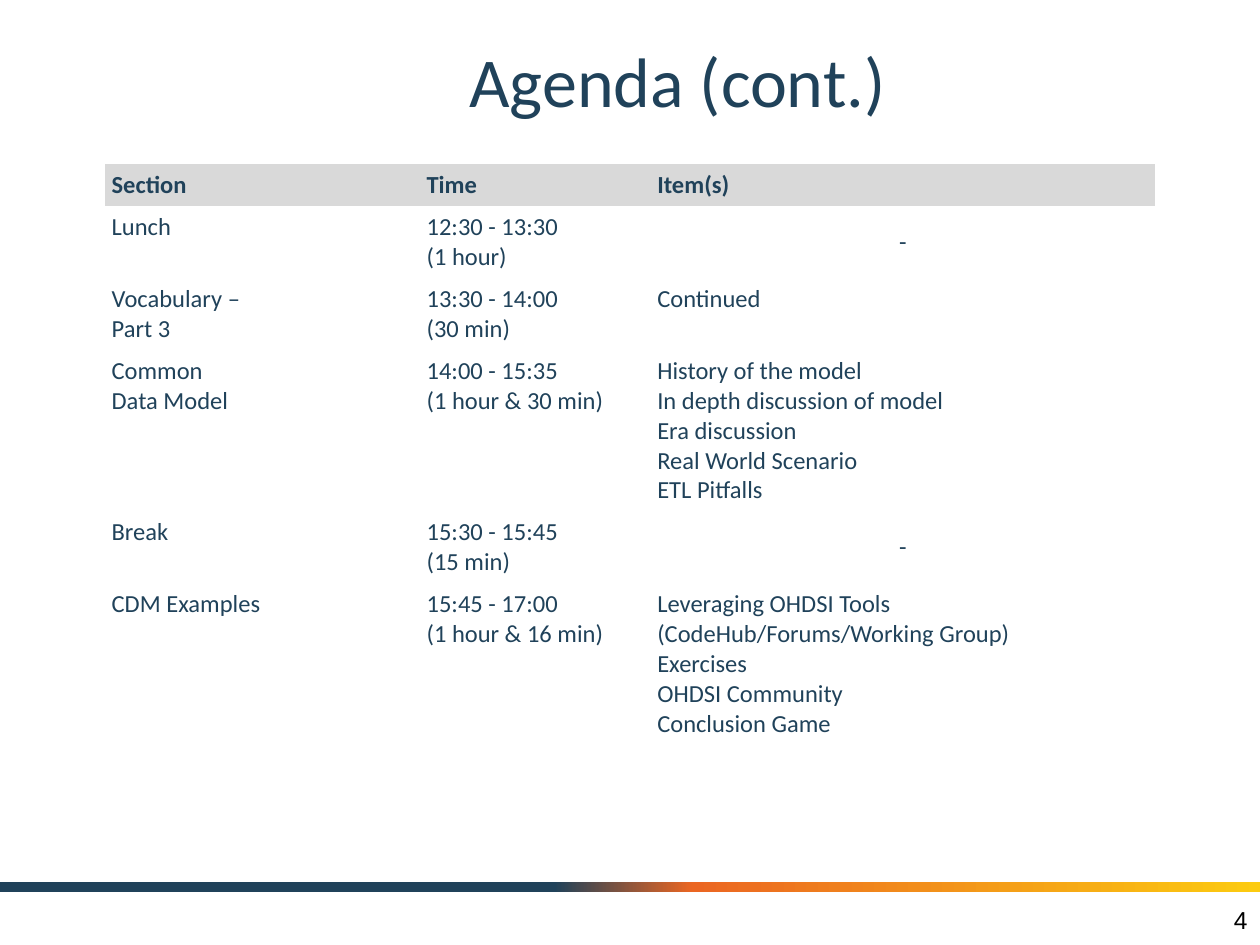
from lxml.etree import SubElement as Sub
from pptx import Presentation
from pptx.dml.color import RGBColor
from pptx.enum.shapes import MSO_SHAPE as Kind
from pptx.enum.text import MSO_ANCHOR as Anchor, PP_ALIGN as Align
from pptx.oxml.ns import qn
from pptx.util import Cm, Pt

NAVY = "20425A"
PLAIN = "{2D5ABB26-0587-4C30-8999-92F81FD0307C}"  # no style, no grid
HEAD = ["Section", "Time", "Item(s)"]
# A \v breaks a line, a \n starts a paragraph
ROWS = [
    ["Lunch", "12:30 - 13:30\v(1 hour)", "-"],
    ["Vocabulary –\vPart 3", "13:30 - 14:00\v(30 min)", "Continued"],
    ["Common\vData Model", "14:00 - 15:35\v(1 hour & 30 min)",
     "History of the model\nIn depth discussion of model\nEra discussion\n"
     "Real World Scenario\nETL Pitfalls"],
    ["Break", "15:30 - 15:45\v(15 min)", "-"],
    ["CDM Examples", "15:45 - 17:00\v(1 hour & 16 min)",
     "Leveraging OHDSI Tools (CodeHub/Forums/Working Group)\nExercises\n"
     "OHDSI Community\nConclusion Game"],
]
LINES = [1, 2, 2, 5, 2, 5]  # text lines in each row
STOPS = [(0, NAVY), (44, NAVY), (55, "EB6622"), (100, "FCCB10")]


def color(code):
    return RGBColor.from_string(code)


class Deck:
    font = {"name": "Calibri", "size": Pt(14), "bold": False}

    def __init__(self, show):
        self.slide = show.slides.add_slide(show.slide_layouts[5])
        self.shapes = self.slide.shapes

    def label(self, frame, text, align=Align.LEFT, code=NAVY, **style):
        frame.text = text
        frame.word_wrap = True
        for para in frame.paragraphs:
            para.alignment = align
            for key, value in {**self.font, **style}.items():
                setattr(para.font, key, value)
            para.font.color.rgb = color(code)

    def title(self, text, *box):
        shape = self.shapes.title
        shape.left, shape.top, shape.width, shape.height = map(Cm, box)
        shape.text_frame.vertical_anchor = Anchor.MIDDLE
        self.label(shape.text_frame, text, Align.CENTER, size=Pt(40))

    def note(self, text, *box, **style):
        frame = self.shapes.add_textbox(*map(Cm, box)).text_frame
        frame.vertical_anchor = Anchor.MIDDLE
        self.label(frame, text, Align.RIGHT, **style)

    def band(self, stops, *box):
        bar = self.shapes.add_shape(Kind.RECTANGLE, *map(Cm, box))
        bar.shadow.inherit = False
        bar.line.fill.background()
        bar.fill.gradient()
        bar.fill.gradient_angle = 0
        grad = next(bar.element.iter(qn("a:gsLst")))
        grad.clear()
        for place, code in stops:
            stop = Sub(grad, qn("a:gs"), pos=str(place * 1000))
            Sub(stop, qn("a:srgbClr"), val=code)

    def table(self, rows, left, top, widths, heights):
        box = map(Cm, (left, top, sum(widths), sum(heights)))
        grid = self.shapes.add_table(len(rows), len(widths), *box).table
        next(grid._tbl.iter(qn("a:tableStyleId"))).text = PLAIN
        grid.horz_banding = False
        for col, width in zip(grid.columns, widths):
            col.width = Cm(width)
        for num, (row, texts) in enumerate(zip(grid.rows, rows)):
            row.height = Cm(heights[num])
            for cell, text in zip(row.cells, texts):
                self.fill(cell, text, num == 0)

    def fill(self, cell, text, head):
        for side in ("left", "right", "top", "bottom"):
            setattr(cell, f"margin_{side}", Cm(0.13))
        dash = text == "-"
        cell.vertical_anchor = Anchor.MIDDLE if dash else Anchor.TOP
        align = Align.CENTER if dash else Align.LEFT
        self.label(cell.text_frame, text, align, bold=head)
        if head:
            cell.fill.solid()
            cell.fill.fore_color.rgb = color("D9D9D9")
        else:
            cell.fill.background()


def main():
    show = Presentation()
    show.slide_width, show.slide_height = Cm(25.4), Cm(19.05)
    deck = Deck(show)

    # Footer band and page number
    deck.band(STOPS, 0, 17.78, 25.4, 0.2)
    deck.note("4", 19.48, 18.03, 5.92, 1.02, name="Arial", code="000000")

    # Title and agenda
    deck.title("Agenda (cont.)", 3.18, 0.43, 20.95, 2.34)
    heights = [0.25 + 0.6 * count for count in LINES]
    deck.table([HEAD] + ROWS, 2.12, 3.3, [6.35, 4.65, 10.16], heights)

    show.save("out.pptx")


if __name__ == "__main__":
    main()
